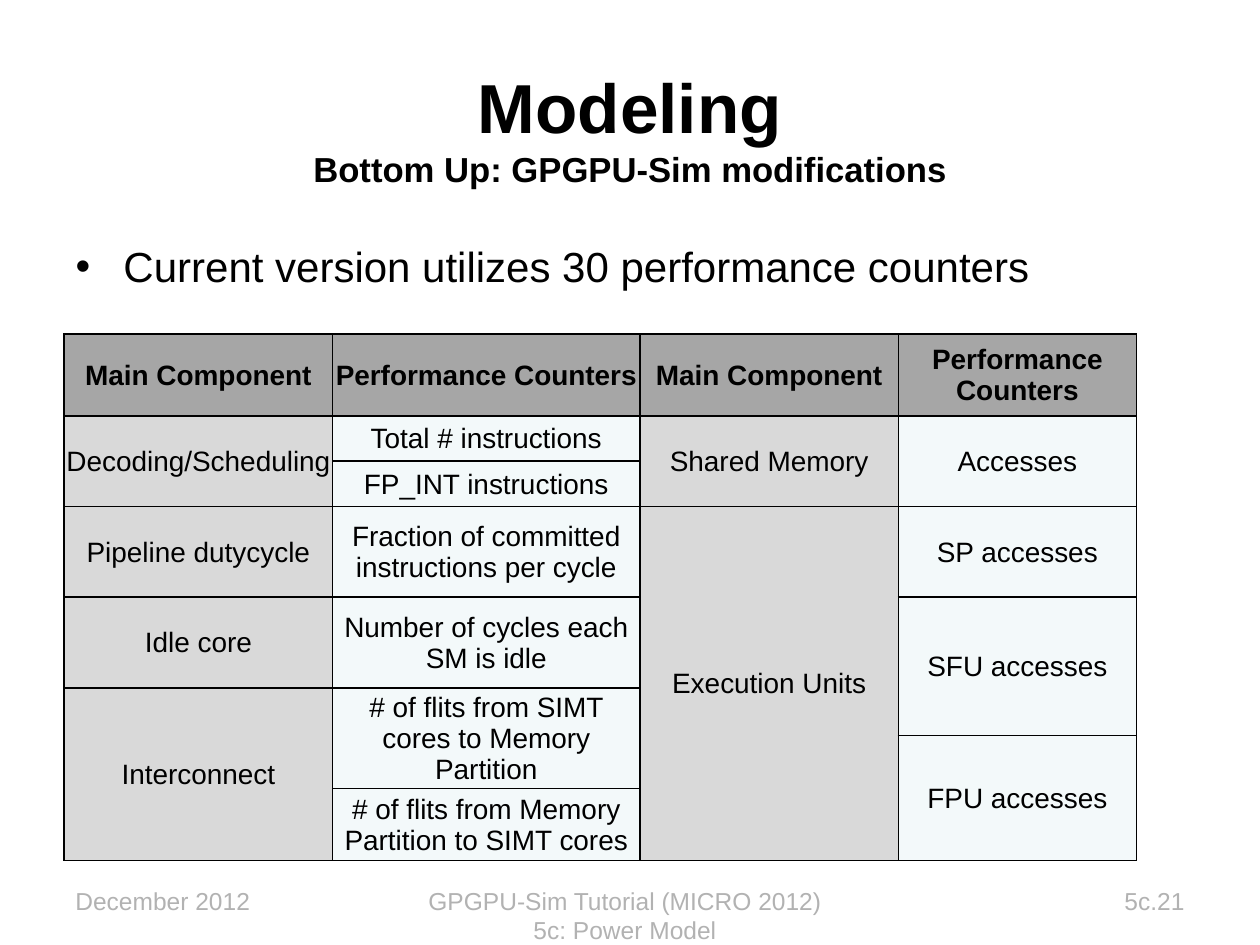
"""Build the slide on GPGPU-Sim performance counters in the power model."""
from dataclasses import dataclass

from lxml.etree import SubElement
from pptx import Presentation
from pptx.dml.color import RGBColor
from pptx.enum.text import MSO_ANCHOR, MSO_AUTO_SIZE, PP_ALIGN
from pptx.oxml.ns import qn
from pptx.util import Inches, Pt

GRID_STEP = 0.1
GRID_COLUMNS, GRID_ROWS = 100, 75


@dataclass(frozen=True)
class Theme:
    font: str = "Arial"
    ink: str = "000000"
    muted: str = "B2B2B2"
    header_fill: str = "A6A6A6"
    component_fill: str = "D9D9D9"
    counter_fill: str = "F3F9FA"
    title_size: float = 39.6
    subtitle_size: float = 19.8
    body_size: float = 24
    table_size: float = 16
    footer_size: float = 14


@dataclass(frozen=True)
class Box:
    left: float
    top: float
    width: float
    height: float


@dataclass(frozen=True)
class Entry:
    row: int
    column: int
    text: str
    rows: int = 1


@dataclass(frozen=True)
class Footer:
    text: str
    box: Box
    align: PP_ALIGN


THEME = Theme()
TITLE_BOX = Box(5, 4.2, 90, 11.7)
BODY_BOX = Box(5, 18.6, 90, 11)
TABLE_BOX = Box(5.1, 26.5, 85.1, 41.8)
COLUMN_WIDTHS = (21.3, 24.4, 20.5, 18.9)
ROW_HEIGHTS = (6.5, 3.6, 3.6, 7.2, 7.2, 3.8, 4.2, 5.7)
HEADERS = ("Main Component", "Performance Counters") * 2
ENTRIES = (
    *(Entry(0, column, text) for column, text in enumerate(HEADERS)),
    Entry(1, 0, "Decoding/Scheduling", 2),
    Entry(3, 0, "Pipeline dutycycle"),
    Entry(4, 0, "Idle core"),
    Entry(5, 0, "Interconnect", 3),
    Entry(1, 1, "Total # instructions"),
    Entry(2, 1, "FP_INT instructions"),
    Entry(3, 1, "Fraction of committed instructions per cycle"),
    Entry(4, 1, "Number of cycles each SM is idle"),
    Entry(5, 1, "# of flits from SIMT cores to Memory Partition", 2),
    Entry(7, 1, "# of flits from Memory Partition to SIMT cores"),
    Entry(1, 2, "Shared Memory", 2),
    Entry(3, 2, "Execution Units", 5),
    Entry(1, 3, "Accesses", 2),
    Entry(3, 3, "SP accesses"),
    Entry(4, 3, "SFU accesses", 2),
    Entry(6, 3, "FPU accesses", 2),
)
FOOTERS = (
    Footer("December 2012", Box(5, 69.8, 23.3, 5.2), PP_ALIGN.LEFT),
    Footer("GPGPU-Sim Tutorial (MICRO 2012) 5c: Power Model",
           Box(32.5, 69.8, 34.2, 5.2), PP_ALIGN.CENTER),
    Footer("5c.21", Box(71.7, 69.8, 23.3, 5.2), PP_ALIGN.RIGHT),
)


def grid(steps: float) -> int:
    """Turn grid steps into a slide length."""
    return Inches(steps * GRID_STEP)


def place(shape, box: Box) -> None:
    """Move a shape onto its grid box."""
    shape.left, shape.top = grid(box.left), grid(box.top)
    shape.width, shape.height = grid(box.width), grid(box.height)


def add_span(para, text: str, size: float, color: str, bold: bool = False) -> None:
    """Append one formatted run."""
    span = para.add_run()
    span.text = text
    span.font.name, span.font.size, span.font.bold = THEME.font, Pt(size), bold
    span.font.color.rgb = RGBColor.from_string(color)


def add_title(slide) -> None:
    """Fill the title placeholder with heading and subheading."""
    title = slide.shapes.title
    place(title, TITLE_BOX)
    frame = title.text_frame
    frame.auto_size = MSO_AUTO_SIZE.NONE
    frame.vertical_anchor = MSO_ANCHOR.MIDDLE
    para = frame.paragraphs[0]
    para.alignment = PP_ALIGN.CENTER
    add_span(para, "Modeling", THEME.title_size, THEME.ink, True)
    para.add_line_break()
    add_span(para, "Bottom Up: GPGPU-Sim modifications", THEME.subtitle_size, THEME.ink, True)


def add_body(slide) -> None:
    """Fill the body placeholder with its bullet."""
    body = slide.placeholders[1]
    place(body, BODY_BOX)
    body.text_frame.auto_size = MSO_AUTO_SIZE.NONE
    para = body.text_frame.paragraphs[0]
    properties = para._p.get_or_add_pPr()
    properties.set("marL", str(grid(3.8)))
    properties.set("indent", str(-grid(3.8)))
    SubElement(properties, qn("a:buChar"), char="•")
    add_span(para, "Current version utilizes 30 performance counters", THEME.body_size, THEME.ink)


def style_cell(cell, fill: str) -> None:
    """Give a cell its borders, fill, margins and anchor."""
    properties = cell._tc.get_or_add_tcPr()
    for side in ("lnL", "lnR", "lnT", "lnB"):
        line = SubElement(properties, qn(f"a:{side}"), w=str(Pt(1)))
        solid = SubElement(line, qn("a:solidFill"))
        SubElement(solid, qn("a:srgbClr"), val=THEME.ink)
    cell.fill.solid()
    cell.fill.fore_color.rgb = RGBColor.from_string(fill)
    cell.margin_left = cell.margin_right = cell.margin_top = Inches(0.01)
    cell.margin_bottom = 0
    cell.vertical_anchor = MSO_ANCHOR.MIDDLE


def add_counter_table(slide) -> None:
    """Draw the table of components and their counters."""
    box = TABLE_BOX
    table = slide.shapes.add_table(
        len(ROW_HEIGHTS), len(COLUMN_WIDTHS),
        grid(box.left), grid(box.top), grid(box.width), grid(box.height)).table
    table.first_row = table.horz_banding = False
    for column, width in zip(table.columns, COLUMN_WIDTHS):
        column.width = grid(width)
    for row, height in zip(table.rows, ROW_HEIGHTS):
        row.height = grid(height)
    for entry in ENTRIES:
        header = entry.row == 0
        body_fill = THEME.counter_fill if entry.column % 2 else THEME.component_fill
        for row in range(entry.row, entry.row + entry.rows):
            style_cell(table.cell(row, entry.column), THEME.header_fill if header else body_fill)
        cell = table.cell(entry.row, entry.column)
        if entry.rows > 1:
            cell.merge(table.cell(entry.row + entry.rows - 1, entry.column))
        para = cell.text_frame.paragraphs[0]
        para.alignment = PP_ALIGN.CENTER
        add_span(para, entry.text, THEME.table_size, THEME.ink, header)


def add_footer(slide, footer: Footer) -> None:
    """Write one footer text."""
    box = footer.box
    label = slide.shapes.add_textbox(
        grid(box.left), grid(box.top), grid(box.width), grid(box.height))
    label.text_frame.word_wrap = True
    para = label.text_frame.paragraphs[0]
    para.alignment = footer.align
    add_span(para, footer.text, THEME.footer_size, THEME.muted)


def main() -> None:
    """Build and save the deck."""
    deck = Presentation()
    deck.slide_width, deck.slide_height = grid(GRID_COLUMNS), grid(GRID_ROWS)
    page = deck.slides.add_slide(deck.slide_layouts[1])
    add_title(page)
    add_counter_table(page)
    add_body(page)
    for footer in FOOTERS:
        add_footer(page, footer)
    deck.save("out.pptx")


if __name__ == "__main__":
    main()
